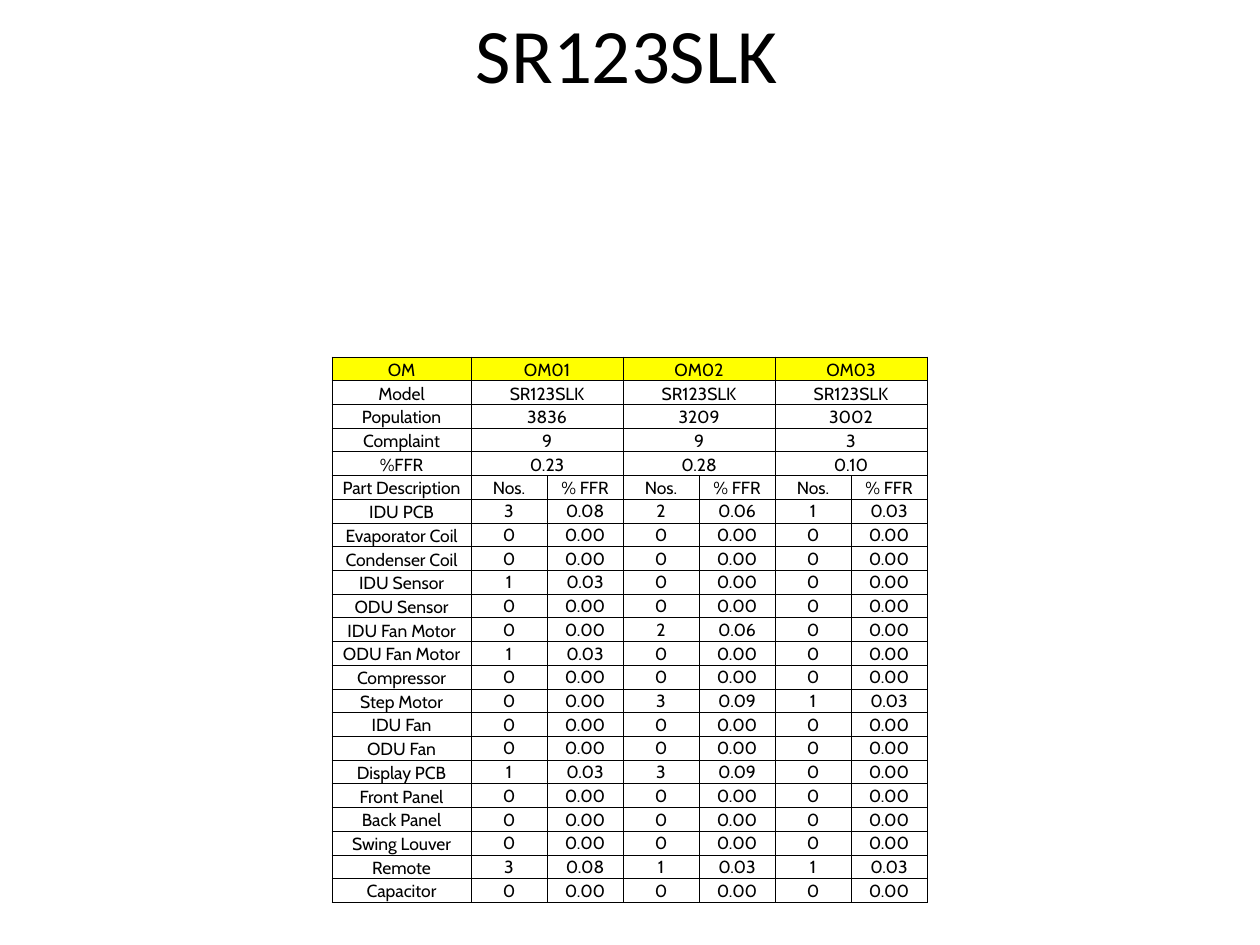
from lxml.etree import SubElement
from pptx import Presentation
from pptx.dml.color import RGBColor
from pptx.enum.text import MSO_ANCHOR, MSO_AUTO_SIZE, PP_ALIGN
from pptx.oxml import parse_xml
from pptx.oxml.ns import nsdecls, qn
from pptx.util import Emu, Pt

BLACK = RGBColor(0x00, 0x00, 0x00)
YELLOW = RGBColor(0xFF, 0xFF, 0x00)

MODEL = "SR123SLK"
BATCHES = ["OM01", "OM02", "OM03"]
POPULATION = [3836, 3209, 3002]
COMPLAINTS = [9, 9, 3]
PARTS = [
    ("IDU PCB", (3, 2, 1)),
    ("Evaporator Coil", (0, 0, 0)),
    ("Condenser Coil", (0, 0, 0)),
    ("IDU Sensor", (1, 0, 0)),
    ("ODU Sensor", (0, 0, 0)),
    ("IDU Fan Motor", (0, 2, 0)),
    ("ODU Fan Motor", (1, 0, 0)),
    ("Compressor", (0, 0, 0)),
    ("Step Motor", (0, 3, 1)),
    ("IDU Fan", (0, 0, 0)),
    ("ODU Fan", (0, 0, 0)),
    ("Display PCB", (1, 3, 0)),
    ("Front Panel", (0, 0, 0)),
    ("Back Panel", (0, 0, 0)),
    ("Swing Louver", (0, 0, 0)),
    ("Remote", (3, 1, 1)),
    ("Capacitor", (0, 0, 0)),
]


def px(n):
    return Emu(round(n * 914400 / 126))


def ffr(counts):
    return [f"{100 * n / total:.2f}" for n, total in zip(counts, POPULATION)]


class SlideBuilder:
    title_font, title_size = "Calibri", Pt(44)
    table_font, table_size = "Cabin", Pt(10)
    border = Pt(0.5)

    def __init__(self, prs):
        self.s = prs.slides.add_slide(prs.slide_layouts[5])

    def text(self, tf, text, font, size):
        tf.text = text
        p = tf.paragraphs[0]
        p.alignment = PP_ALIGN.CENTER
        r = p.runs[0]
        r.font.name, r.font.size = font, size
        r.font.color.rgb = BLACK

    def title(self, text, x, y, w, h):
        sp = self.s.shapes.title
        sp.left, sp.top, sp.width, sp.height = px(x), px(y), px(w), px(h)
        tf = sp.text_frame
        tf.auto_size = MSO_AUTO_SIZE.NONE
        tf.vertical_anchor = MSO_ANCHOR.MIDDLE
        self.text(tf, text, self.title_font, self.title_size)

    def borders(self, cell):
        tc_pr = cell._tc.get_or_add_tcPr()
        for i, side in enumerate(("lnL", "lnR", "lnT", "lnB")):
            ln = parse_xml(f'<a:{side} {nsdecls("a")} w="{self.border}"/>')
            fill = SubElement(ln, qn("a:solidFill"))
            SubElement(fill, qn("a:srgbClr"), val=str(BLACK))
            tc_pr.insert(i, ln)

    def cell(self, cell, text, anchor, fill):
        cell.margin_left = cell.margin_right = cell.margin_top = px(1)
        cell.margin_bottom = 0
        cell.vertical_anchor = anchor
        if fill is None:
            cell.fill.background()
        else:
            cell.fill.solid()
            cell.fill.fore_color.rgb = fill
        self.borders(cell)
        if text:
            self.text(cell.text_frame, text, self.table_font, self.table_size)

    def table(self, rows, merged_rows, x, y, col_widths, h):
        frame = self.s.shapes.add_table(
            len(rows), len(col_widths), px(x), px(y), px(sum(col_widths)), px(h))
        table = frame.table
        table.first_row = table.horz_banding = False
        for col, width in zip(table.columns, col_widths):
            col.width = px(width)
        for i, values in enumerate(rows):
            table.rows[i].height = px(h / len(rows))
            for j, text in enumerate(values):
                middle = j > 0 and i > merged_rows
                anchor = MSO_ANCHOR.MIDDLE if middle else MSO_ANCHOR.BOTTOM
                self.cell(table.cell(i, j), text, anchor, YELLOW if i == 0 else None)
            if i < merged_rows:
                for j in range(1, len(col_widths), 2):
                    table.cell(i, j).merge(table.cell(i, j + 1))


def pair_row(label, firsts, seconds):
    return [label] + [str(v) for pair in zip(firsts, seconds) for v in pair]


def main():
    prs = Presentation()
    prs.slide_width, prs.slide_height = px(1260), px(945)
    summary = [
        ("OM", BATCHES),
        ("Model", [MODEL] * 3),
        ("Population", POPULATION),
        ("Complaint", COMPLAINTS),
        ("%FFR", ffr(COMPLAINTS)),
    ]
    rows = [pair_row(label, values, [""] * 3) for label, values in summary]
    rows.append(pair_row("Part Description", ["Nos."] * 3, ["% FFR"] * 3))
    rows += [pair_row(part, counts, ffr(counts)) for part, counts in PARTS]

    slide = SlideBuilder(prs)
    slide.title(MODEL, 60, 21, 1134, 63)
    slide.table(rows, len(summary), 332, 357, [139] + [76] * 6, 546)
    prs.save("out.pptx")


if __name__ == "__main__":
    main()
